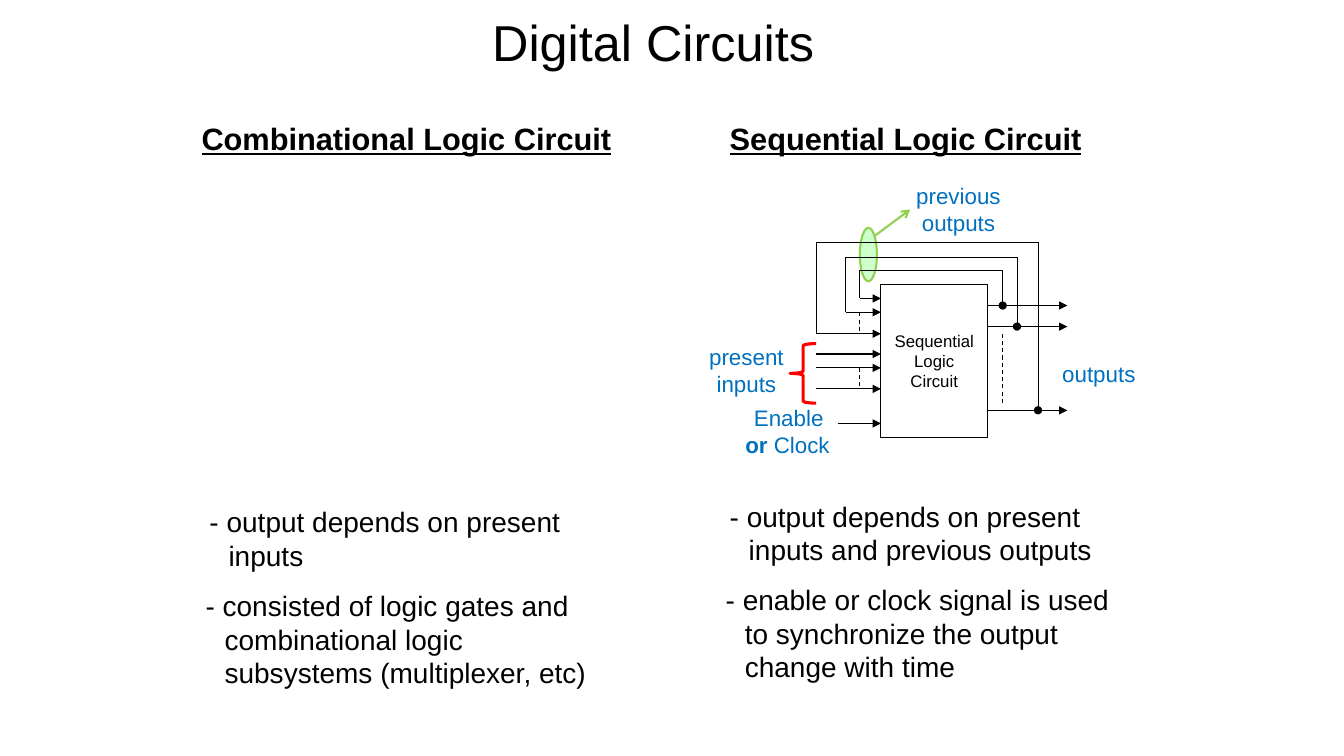
from pptx import Presentation
from pptx import util as u
from pptx.dml.color import RGBColor
from pptx.enum import dml, shapes, text
from pptx.oxml.ns import qn
from lxml import etree

COLORS = {"ink": "000000", "label": "0070C0", "leaf": "92D050",
          "mint": "CCFFCC", "brace": "FF0000"}
TITLE = {"size": u.Pt(36)}
HEADING = {"size": u.Pt(22), "bold": True, "underline": True}
POINT = {"size": u.Pt(20)}
LABEL = {"size": u.Pt(16)}
BLOCK = {"size": u.Pt(12)}
CENTER, RIGHT = text.PP_ALIGN.CENTER, text.PP_ALIGN.RIGHT


def rgb(name):
    return RGBColor.from_string(COLORS[name])


def cm_all(*lengths):
    return [u.Cm(length) for length in lengths]


def write(frame, paragraphs, fmt, color="ink", align=None, hang=0):
    """Each paragraph is a list of (words, extra format) runs."""
    frame.word_wrap = True
    for i, runs in enumerate(paragraphs):
        para = frame.paragraphs[0] if i == 0 else frame.add_paragraph()
        para.alignment = align
        if hang:
            props = para._p.get_or_add_pPr()
            props.set("marL", str(u.Cm(hang)))
            props.set("indent", str(-u.Cm(hang)))
        for words, extra in runs:
            run = para.add_run()
            run.text = words
            run.font.color.rgb = rgb(color)
            for key, value in {"name": "Arial", **fmt, **extra}.items():
                setattr(run.font, key, value)


def text_box(slide, box, paragraphs, *args, **kwargs):
    frame = slide.shapes.add_textbox(*cm_all(*box)).text_frame
    write(frame, paragraphs, *args, **kwargs)
    frame.auto_size = text.MSO_AUTO_SIZE.SHAPE_TO_FIT_TEXT
    return frame


def outline(slide, kind, box, line, width=0.75, fill=None):
    shape = slide.shapes.add_shape(kind, *cm_all(*box))
    shape.shadow.inherit = False
    shape.line.color.rgb = rgb(line)
    shape.line.width = u.Pt(width)
    if fill:
        shape.fill.solid()
        shape.fill.fore_color.rgb = rgb(fill)
    else:
        shape.fill.background()
    return shape


def wire(slide, start, end, head=None, dashed=False, color="ink", width=0.75):
    line = slide.shapes.add_connector(shapes.MSO_CONNECTOR.STRAIGHT,
                                      *cm_all(*start, *end))
    line.line.color.rgb = rgb(color)
    line.line.width = u.Pt(width)
    if dashed:
        line.line.dash_style = dml.MSO_LINE.DASH
    if head:
        etree.SubElement(line.line._get_or_add_ln(), qn("a:tailEnd"), type=head)
    etree.SubElement(line._element.spPr, qn("a:effectLst"))


def title(slide, box):
    frame = text_box(slide, box, [[("Digital Circuits", {})]], TITLE, align=CENTER)
    frame.auto_size = text.MSO_AUTO_SIZE.NONE
    frame.vertical_anchor = text.MSO_ANCHOR.MIDDLE


def column(slide, left, top, heading, points, points_left, points_top):
    text_box(slide, (left, top, 11.47, 1.19), [[(heading, {})]], HEADING)
    for i, (point, height) in enumerate(points):
        box = (points_left - 0.1 * i, points_top + 2.11 * i, 10.39, height)
        text_box(slide, box, [[(point, {})]], POINT, hang=0.48)


def sequential_diagram(slide, left, top):
    def at(x, y, *size):
        return (left + x, top + y, *size)

    block_left, block_right = 4.8, 7.49
    inputs_left, outputs_right = 3.17, 9.5
    output_rows = (3.23, 3.76, 5.87)
    feedback_rows = (3.05, 3.4, 3.94)
    present_rows = (4.45, 4.8, 5.33)
    taps = (7.87, 8.23, 8.76)
    loop_tops = (2.34, 2.01, 1.63)
    loop_lefts = (4.27, 3.91, inputs_left)

    # Marker around the feedback wires
    oval = shapes.MSO_SHAPE.OVAL
    outline(slide, oval, at(4.27, 1.27, 0.43, 1.35), "leaf", 1.5, "mint")
    wire(slide, at(4.65, 1.47), at(5.54, 0.81), "arrow", color="leaf", width=1.5)

    # Circuit block
    block = outline(slide, shapes.MSO_SHAPE.RECTANGLE,
                    at(block_left, 2.69, block_right - block_left, 3.86), "ink")
    write(block.text_frame, [[("Sequential Logic Circuit", {})]], BLOCK, align=CENTER)
    block.text_frame.vertical_anchor = text.MSO_ANCHOR.MIDDLE

    # Outputs, each fed back to an input
    for out, tap, loop_top, loop_left, back in zip(
            output_rows, taps, loop_tops, loop_lefts, feedback_rows):
        wire(slide, at(block_right, out), at(outputs_right, out), "triangle")
        corners = [(tap, out), (tap, loop_top), (loop_left, loop_top),
                   (loop_left, back), (block_left, back)]
        for start, end in zip(corners, corners[1:]):
            head = "triangle" if end == corners[-1] else None
            wire(slide, at(*start), at(*end), head)
        outline(slide, oval, at(tap - 0.09, out - 0.09, 0.18, 0.18), "ink", fill="ink")

    # Present inputs and the enable line
    starts = [(inputs_left, row) for row in present_rows] + [(3.71, 6.2)]
    for x, row in starts:
        wire(slide, at(x, row), at(block_left, row), "triangle")

    # Dashes standing for further lines
    for x, y1, y2 in ((loop_lefts[0], *feedback_rows[1:]),
                      (loop_lefts[0], *present_rows[1:]),
                      (taps[0], feedback_rows[2], 5.69)):
        wire(slide, at(x, y1), at(x, y2), dashed=True)

    # Brace and labels
    brace = outline(slide, shapes.MSO_SHAPE.LEFT_BRACE,
                    at(2.51, 4.19, 0.66, 1.5), "brace", 2.25)
    brace.adjustments[0] = 0.08
    labels = [
        ((0, 4.06, 2.82, 1.63), [[("present inputs", {})]], CENTER),
        ((5.03, 0, 3.45, 1.63), [[("previous outputs", {})]], CENTER),
        ((9.12, 4.47, 2.69, 0.94), [[("outputs", {})]], None),
        ((0.89, 5.59, 2.87, 1.63),
         [[("Enable ", {})], [("or", {"bold": True}), (" Clock", {})]], RIGHT),
    ]
    for box, words, align in labels:
        text_box(slide, at(*box), words, LABEL, "label", align)


def main():
    deck = Presentation()
    deck.slide_width, deck.slide_height = cm_all(33.87, 19.05)
    slide = deck.slides.add_slide(deck.slide_layouts[6])
    title(slide, (5.03, 0, 22.86, 2.08))
    column(slide, 4.83, 2.9, "Combinational Logic Circuit", [
        ("- output depends on present inputs", 1.96),
        ("- consisted of logic gates and combinational logic "
         "subsystems (multiplexer, etc)", 2.82)], 5.03, 12.6)
    column(slide, 18.14, 2.9, "Sequential Logic Circuit", [
        ("- output depends on present inputs and previous outputs", 1.96),
        ("- enable or clock signal is used to synchronize "
         "the output change with time", 2.82)], 18.14, 12.45)
    sequential_diagram(slide, 17.4, 4.47)
    deck.save("out.pptx")


if __name__ == "__main__":
    main()
